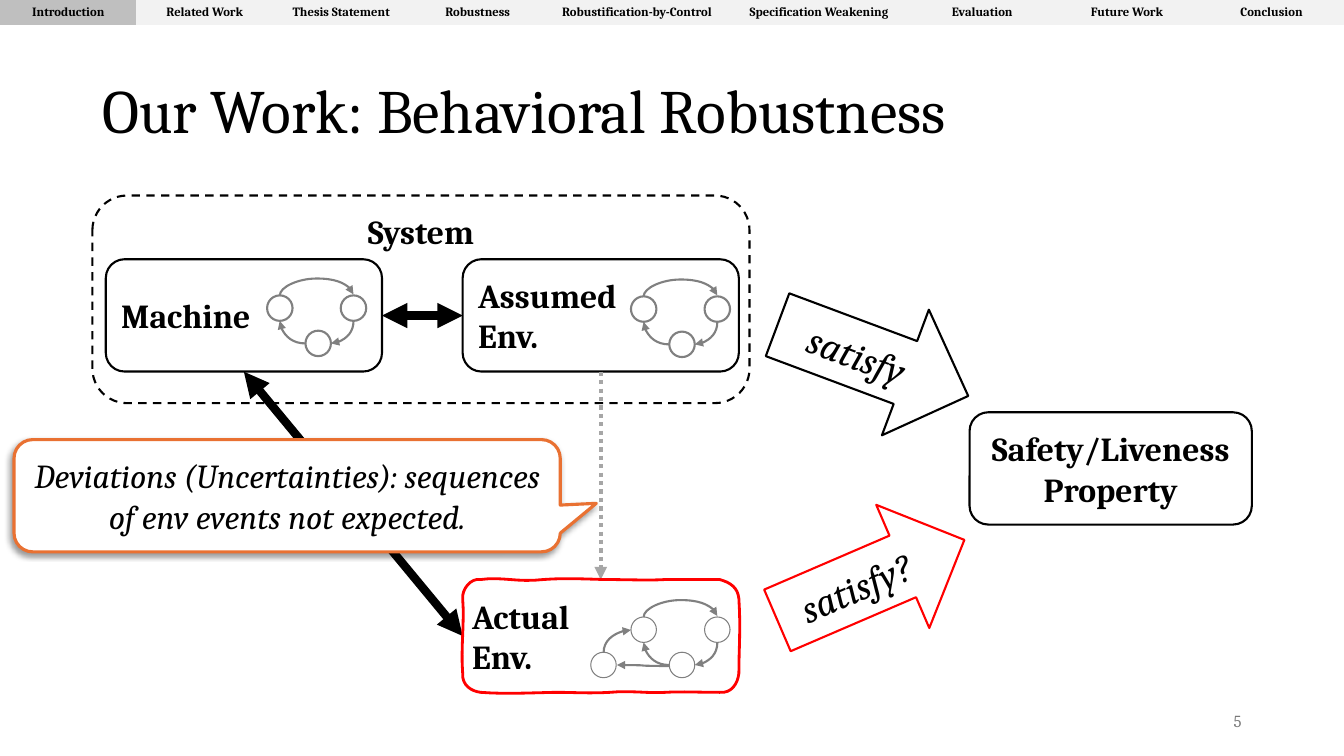
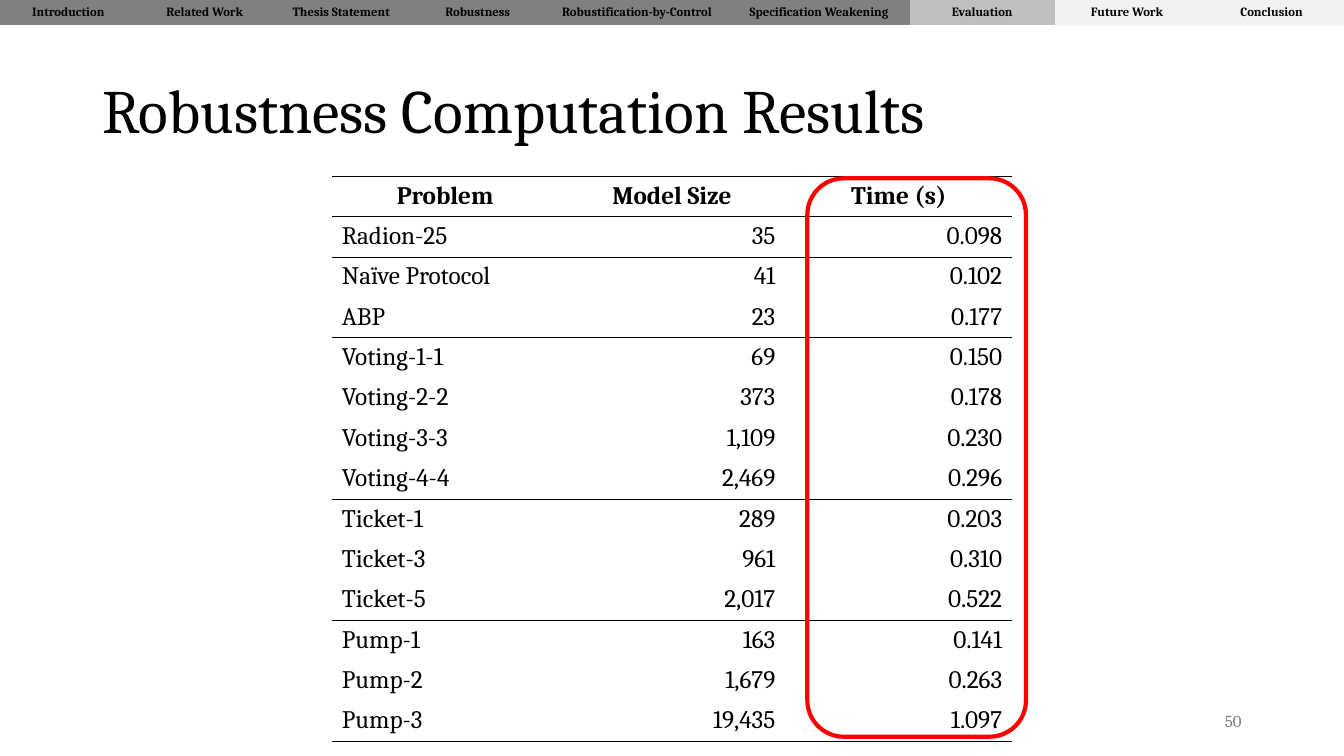
from pptx import Presentation
from pptx.dml.color import RGBColor
from pptx.enum.dml import MSO_LINE_DASH_STYLE as Dash
from pptx.enum.shapes import MSO_CONNECTOR as Link, MSO_SHAPE as Preset
from pptx.enum.text import MSO_ANCHOR as Anchor, PP_ALIGN as Align
from pptx.oxml.ns import qn
from pptx.util import Pt
from lxml.etree import SubElement

COLORS = {
    "black": "000000", "white": "FFFFFF", "gray": "808080", "dotted": "A6A6A6",
    "number": "797979", "red": "FF0000", "orange": "E97132",
    "done": "808080", "current": "BFBFBF", "ahead": "F2F2F2",
}
FONT = "Cambria"
NO_GRID_STYLE = "{2D5ABB26-0587-4C30-8999-92F81FD0307C}"
SECTIONS = [
    ("Introduction", 97.5), ("Related Work", 97.5), ("Thesis Statement", 97.5),
    ("Robustness", 97.5), ("Robustification-by-Control", 130),
    ("Specification Weakening", 130), ("Evaluation", 103.33),
    ("Future Work", 103.33), ("Conclusion", 103.34),
]

SKETCH_START = (330.5, 427.7)
SKETCH_CURVES = [
    ((329.8, 421.2), (336.2, 412.6), (343.4, 414)),
    ((358.6, 411.8), (369.4, 416.2), (388.1, 414)),
    ((406.1, 412.6), (423.4, 414), (434.2, 414)),
    ((445, 414), (466.6, 414.7), (475.2, 414)),
    ((483.1, 414), (503.3, 414), (514.1, 414)),
    ((522, 416.2), (527, 419.8), (527.8, 427.7)),
    ((529.2, 450.7), (527.8, 461.5), (527.8, 481)),
    ((527, 488.2), (522.7, 495.4), (514.1, 494.6)),
    ((501.1, 494.6), (486, 493.9), (475.2, 494.6)),
    ((463.7, 495.4), (450, 493.2), (435.6, 494.6)),
    ((421.2, 495.4), (410.4, 494.6), (398.2, 494.6)),
    ((385.9, 494.6), (362.2, 496.1), (343.4, 494.6)),
    ((337, 493.9), (329.8, 489.6), (330.5, 481)),
    ((329, 462.2), (331.9, 445.7), SKETCH_START),
]

RESULT_GROUPS = [
    [("Problem", "Model Size", "Time (s)")],
    [("Radion-25", "35", "0.098")],
    [("Naïve Protocol", "41", "0.102"), ("ABP", "23", "0.177")],
    [("Voting-1-1", "69", "0.150"), ("Voting-2-2", "373", "0.178"),
     ("Voting-3-3", "1,109", "0.230"), ("Voting-4-4", "2,469", "0.296")],
    [("Ticket-1", "289", "0.203"), ("Ticket-3", "961", "0.310"),
     ("Ticket-5", "2,017", "0.522")],
    [("Pump-1", "163", "0.141"), ("Pump-2", "1,679", "0.263"),
     ("Pump-3", "19,435", "1.097")],
]


def rgb(name):
    return RGBColor.from_string(COLORS[name])


def write(frame, text, size=24, color="black", bold=False, italic=False,
          align=Align.LEFT, anchor=Anchor.MIDDLE, spacing=None):
    frame.word_wrap = True
    frame.vertical_anchor = anchor
    for index, line in enumerate(text.split("\n")):
        paragraph = frame.add_paragraph() if index else frame.paragraphs[0]
        paragraph.alignment = align
        if spacing:
            paragraph.line_spacing = spacing
        run = paragraph.add_run()
        run.text = line
        font = run.font
        font.name, font.size = FONT, Pt(size)
        font.bold, font.italic = bold, italic
        font.color.rgb = rgb(color)


def bezier_points(start, curves, steps=8):
    for c1, c2, end in curves:
        for step in range(1, steps + 1):
            t = step / steps
            u = 1 - t
            yield tuple(u**3 * a + 3 * u * u * t * b + 3 * u * t * t * c + t**3 * d
                        for a, b, c, d in zip(start, c1, c2, end))
        start = end


class Deck:
    def __init__(self):
        self.show = Presentation()
        self.show.slide_width, self.show.slide_height = Pt(960), Pt(540)
        self.shapes = None

    def slide(self, title, number, section):
        self.shapes = self.show.slides.add_slide(self.show.slide_layouts[6]).shapes
        self.navigation(section)
        self.label(66, 29, 828, 104, title, size=44, spacing=0.9)
        self.label(678, 500.5, 216, 28.8, str(number), size=12, color="number",
                   align=Align.RIGHT)

    def label(self, x, y, w, h, text, **style):
        box = self.shapes.add_textbox(Pt(x), Pt(y), Pt(w), Pt(h))
        write(box.text_frame, text, **style)

    def paint(self, shape, fill, line, width):
        shape.shadow.inherit = False
        if fill:
            shape.fill.solid()
            shape.fill.fore_color.rgb = rgb(fill)
        else:
            shape.fill.background()
        shape.line.color.rgb = rgb(line)
        shape.line.width = Pt(width)

    def shape(self, preset, x, y, w, h, text="", fill="white", line="black",
              width=1.5, dash=None, turn=0, **style):
        shape = self.shapes.add_shape(preset, Pt(x), Pt(y), Pt(w), Pt(h))
        self.paint(shape, fill, line, width)
        shape.rotation = turn
        if dash:
            shape.line.dash_style = dash
        if text:
            write(shape.text_frame, text, **style)
        return shape

    def sketch(self, start, curves, text, line, width, **style):
        builder = self.shapes.build_freeform(Pt(start[0]), Pt(start[1]))
        builder.add_line_segments(
            [(Pt(x), Pt(y)) for x, y in bezier_points(start, curves)], close=True)
        shape = builder.convert_to_shape()
        self.paint(shape, "white", line, width)
        write(shape.text_frame, text, **style)

    def arrow(self, start, end, kind=Link.STRAIGHT, color="black", width=6.0,
              dash=None, double=False):
        link = self.shapes.add_connector(
            kind, Pt(start[0]), Pt(start[1]), Pt(end[0]), Pt(end[1]))
        link.line.color.rgb = rgb(color)
        link.line.width = Pt(width)
        if dash:
            link.line.dash_style = dash
        properties = link.element.spPr
        ln = properties.find(qn("a:ln"))
        for tag in ["a:headEnd", "a:tailEnd"][0 if double else 1:]:
            SubElement(ln, qn(tag), type="triangle")
        SubElement(properties, qn("a:effectLst"))
        return link

    def curve(self, start, end, turn, preset="curvedConnector2", bulge=None):
        link = self.arrow(start, end, Link.CURVE, "gray", 1.5)
        (x1, y1), (x2, y2) = start, end
        w, h = abs(x2 - x1), abs(y2 - y1)
        if turn == 90:
            w, h = h, w
        link.left, link.top = Pt((x1 + x2 - w) / 2), Pt((y1 + y2 - h) / 2)
        link.width, link.height = Pt(w), Pt(h)
        frame = link.element.spPr.find(qn("a:xfrm"))
        flip = "1" if turn == 90 and x2 > x1 else "0"
        for key, value in (("rot", str(turn * 60000)), ("flipH", flip), ("flipV", flip)):
            frame.set(key, value)
        geometry = link.element.spPr.find(qn("a:prstGeom"))
        geometry.set("prst", preset)
        if bulge:
            SubElement(geometry.find(qn("a:avLst")), qn("a:gd"), name="adj1",
                       fmla=f"val {round(bulge * 100000)}")

    def state(self, x, y, width=1.5):
        self.shape(Preset.OVAL, x, y, 18.2, 18.2, line="gray", width=width)

    def automaton(self, x, y, width=1.5):
        for dx, dy in ((0, 0), (52.6, 0), (27.4, 25.2)):
            self.state(x + dx, y + dy, width)
        self.curve((x + 9.1, y), (x + 61.7, y - 0.7), 90, "curvedConnector3", 17)
        self.curve((x + 61.7, y + 18.2), (x + 45.6, y + 34.3), 90)
        self.curve((x + 27.4, y + 34.3), (x + 9, y + 18.2), 180)

    def table(self, x, y, widths, height, rows):
        frame = self.shapes.add_table(len(rows), len(widths), Pt(x), Pt(y),
                                      Pt(sum(widths)), Pt(height * len(rows)))
        table = frame.table
        table.first_row = table.horz_banding = False
        for style in frame.element.iter(qn("a:tableStyleId")):
            style.text = NO_GRID_STYLE
        for column, width in zip(table.columns, widths):
            column.width = Pt(width)
        for row in table.rows:
            row.height = Pt(height)
        return table

    def navigation(self, section):
        names, widths = zip(*SECTIONS)
        table = self.table(0, 0, widths, 18, [names])
        current = names.index(section)
        for index, name in enumerate(names):
            cell = table.cell(0, index)
            write(cell.text_frame, name, size=9, bold=True, align=Align.CENTER,
                  anchor=Anchor.TOP)
            state = "done" if index < current else "current" if index == current else "ahead"
            cell.fill.solid()
            cell.fill.fore_color.rgb = rgb(state)

    def rule(self, cell, side):
        properties = cell._tc.get_or_add_tcPr()
        ln = SubElement(properties, qn(f"a:{side}"), w=str(Pt(1)))
        fill = SubElement(ln, qn("a:solidFill"))
        SubElement(fill, qn("a:srgbClr"), val=COLORS["black"])

    def results(self, x, y, widths, height, groups):
        rows = [(row, row is group[-1]) for group in groups for row in group]
        table = self.table(x, y, widths, height, rows)
        for r, (row, closes) in enumerate(rows):
            for c, text in enumerate(row):
                cell = table.cell(r, c)
                align = Align.CENTER if r == 0 else Align.RIGHT if c else Align.LEFT
                write(cell.text_frame, text, size=18, bold=r == 0, align=align,
                      anchor=Anchor.TOP)
                if r == 0:
                    self.rule(cell, "lnT")
                if closes:
                    self.rule(cell, "lnB")
                cell.fill.background()


def robustness_slide(deck):
    deck.slide("Our Work: Behavioral Robustness", 5, "Introduction")
    box = Preset.ROUNDED_RECTANGLE
    deck.shape(box, 66, 139.7, 469.4, 148.3, "System", dash=Dash.DASH, bold=True,
               align=Align.CENTER, anchor=Anchor.TOP)
    deck.shape(box, 75.6, 185.2, 197.3, 80.2, "Machine", bold=True)
    deck.automaton(190.8, 211)
    deck.shape(box, 330.5, 185.2, 197.3, 80.2, "Assumed\nEnv.", bold=True)
    deck.automaton(450.7, 211.7)
    deck.arrow((272.9, 225.4), (330.5, 225.4), double=True)
    deck.shape(box, 692.6, 294.5, 201.6, 80.2, "Safety/Liveness Property",
               bold=True, align=Align.CENTER)
    deck.arrow((174.2, 265.5), (330.5, 454.3), double=True)
    for x, y, turn, line, text in ((550.8, 209.5, 20.5, "black", "satisfy"),
                                   (549.4, 366.5, 336.7, "red", "satisfy?")):
        deck.shape(Preset.RIGHT_ARROW, x, y, 145.4, 95.8, text, line=line, turn=turn,
                   size=28, italic=True, align=Align.CENTER)
    deck.arrow((429.1, 265.5), (429.1, 414), color="dotted", width=3,
               dash=Dash.ROUND_DOT)
    callout = deck.shape(Preset.ROUNDED_RECTANGULAR_CALLOUT, 10, 314, 390.2, 80.2,
                         "Deviations (Uncertainties): sequences of env events not expected.",
                         line="orange", width=2.25, italic=True, align=Align.CENTER)
    for index, value in enumerate((0.566, 0.068, 0.167)):
        callout.adjustments[index] = value
    effects = callout.element.spPr.find(qn("a:effectLst"))
    shadow = SubElement(effects, qn("a:outerShdw"), blurRad=str(Pt(4)),
                        dist=str(Pt(3)), dir=str(135 * 60000), algn="tr",
                        rotWithShape="0")
    tint = SubElement(shadow, qn("a:srgbClr"), val=COLORS["black"])
    SubElement(tint, qn("a:alpha"), val="40000")
    deck.sketch(SKETCH_START, SKETCH_CURVES, "Actual\nEnv.", "red", 2, bold=True)
    deck.automaton(450.7, 440.7, 0.75)
    deck.state(422, 465.9, 0.75)
    deck.curve((478.1, 475.7), (440.6, 475), 180, "curvedConnector3", 0.5)
    deck.curve((431.2, 465.9), (450.7, 450), 90)


def results_slide(deck):
    deck.slide("Robustness Computation Results", 50, "Evaluation")
    deck.results(237, 126, [162] * 3, 28, RESULT_GROUPS)
    deck.shape(Preset.ROUNDED_RECTANGLE, 576.7, 127.4, 156.2, 398.9, fill=None,
               line="red", width=3)


def main():
    deck = Deck()
    robustness_slide(deck)
    results_slide(deck)
    deck.show.save("out.pptx")


if __name__ == "__main__":
    main()
